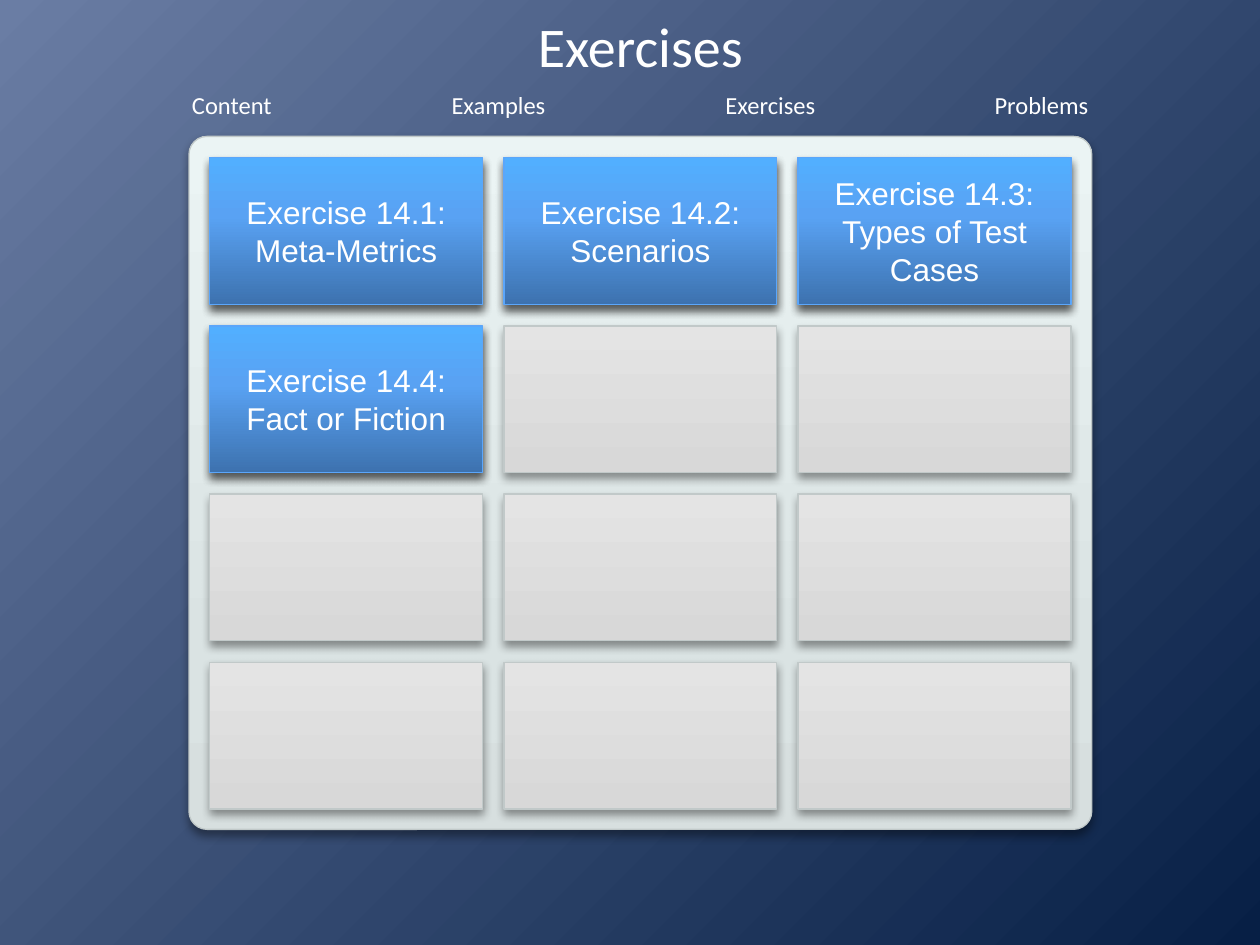
from dataclasses import dataclass
from lxml import etree
from pptx import Presentation
from pptx.dml.color import RGBColor
from pptx.enum.shapes import MSO_SHAPE
from pptx.enum.text import MSO_ANCHOR, PP_ALIGN
from pptx.oxml.ns import qn
from pptx.util import Cm, Pt

RECT = MSO_SHAPE.RECTANGLE
ROUND = MSO_SHAPE.ROUNDED_RECTANGLE
MIDDLE = MSO_ANCHOR.MIDDLE
TOP = MSO_ANCHOR.TOP
CENTER = PP_ALIGN.CENTER
WHITE = "FFFFFF"


@dataclass
class Box:
    left: float
    top: float
    width: float
    height: float

    def size(self) -> tuple:
        return Cm(self.left), Cm(self.top), Cm(self.width), Cm(self.height)


@dataclass
class Style:
    stops: list
    line: str


@dataclass
class Item:
    text: str
    width: float


PANEL = Style([(0, "D7DFDF"), (25, "DAE3E3"), (100, "EBF4F4")], "C1C9C9")
GREY = Style([(0, "D8D8D8"), (1, "D8D8D8"), (100, "E4E4E4")], "C1C9C9")
BLUE = Style([(0, "3D72AF"), (60, "59A2F3"), (100, "52AFFF")], "5BA6FA")
MENU = [Item("Content", 2.13), Item("Examples", 2.44),
        Item("Exercises", 2.34), Item("Problems", 2.41)]
TASKS = ["Exercise 14.1:\vMeta-Metrics", "Exercise 14.2:\vScenarios",
         "Exercise 14.3:\vTypes of Test Cases", "Exercise 14.4:\vFact or Fiction"]
COLS, ROWS = 3, 4


def color(code: str) -> RGBColor:
    return RGBColor.from_string(code)


def node(parent, tag: str, **attrs):
    return etree.SubElement(parent, qn(tag), **attrs)


def shade(fill, root, stops: list, angle: float) -> None:
    fill.gradient()
    fill.gradient_angle = angle
    group = next(root.iter(qn("a:gsLst")))
    for old in list(group):
        group.remove(old)
    for place, code in stops:
        stop = node(group, "a:gs", pos=str(place * 1000))
        node(stop, "a:srgbClr", val=code)


def shadow(shape) -> None:
    shape.shadow.inherit = False
    effect = next(shape._element.iter(qn("a:effectLst")))
    outer = node(effect, "a:outerShdw", blurRad=str(Pt(5.2)), dist=str(Pt(3)),
                 dir="5400000", rotWithShape="0")
    black = node(outer, "a:srgbClr", val="000000")
    node(black, "a:alpha", val="40000")


def write(frame, text: str, size: int, font: str, anchor) -> None:
    frame.text = text
    frame.word_wrap = True
    frame.vertical_anchor = anchor
    for para in frame.paragraphs:
        para.alignment = CENTER
        for run in para.runs:
            run.font.size = Pt(size)
            run.font.name = font
            run.font.color.rgb = color(WHITE)


def panel(slide, kind, box: Box, style: Style):
    shape = slide.shapes.add_shape(kind, *box.size())
    shade(shape.fill, shape._element, style.stops, 90)
    shape.line.color.rgb = color(style.line)
    shape.line.width = Pt(0.75)
    shadow(shape)
    return shape


def label(slide, box: Box, text: str, size: int, anchor):
    frame = slide.shapes.add_textbox(*box.size()).text_frame
    write(frame, text, size, "Calibri", anchor)
    return frame


def cell(index: int) -> Box:
    row, col = divmod(index, COLS)
    return Box(4.23 + col * 5.93, 3.18 + row * 3.39, 5.5, 2.96)


deck = Presentation()
deck.slide_width, deck.slide_height = Cm(25.4), Cm(19.05)
slide = deck.slides.add_slide(deck.slide_layouts[6])
shade(slide.background.fill, slide._element, [(0, "6A7DA4"), (100, "071F45")], 315)

board = panel(slide, ROUND, Box(3.81, 2.75, 18.2, 13.97), PANEL)
board.adjustments[0] = 0.026
for index in range(COLS * ROWS):
    panel(slide, RECT, cell(index), GREY)

left = 3.61
for item in MENU:
    label(slide, Box(left, 1.7, item.width, 0.86), item.text, 14, TOP).word_wrap = False
    left += item.width + 3.09

title = label(slide, Box(3.81, 0.28, 18.2, 1.27), "Exercises", 32, MIDDLE)
title.margin_left = title.margin_right = title.margin_top = title.margin_bottom = 0

for index, task in enumerate(TASKS):
    card = panel(slide, RECT, cell(index), BLUE)
    write(card.text_frame, task, 18, "Arial", MIDDLE)

deck.save("out.pptx")
